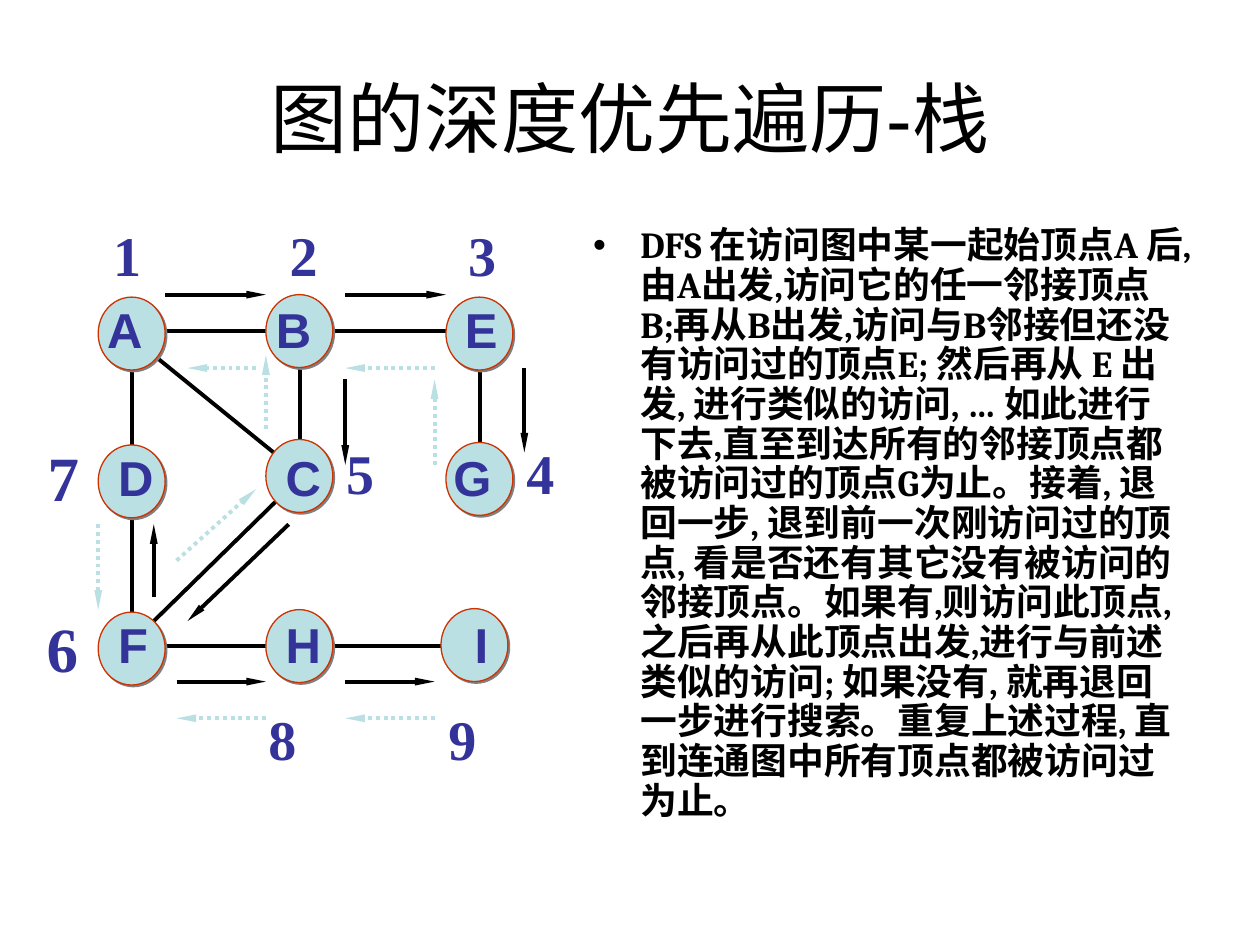
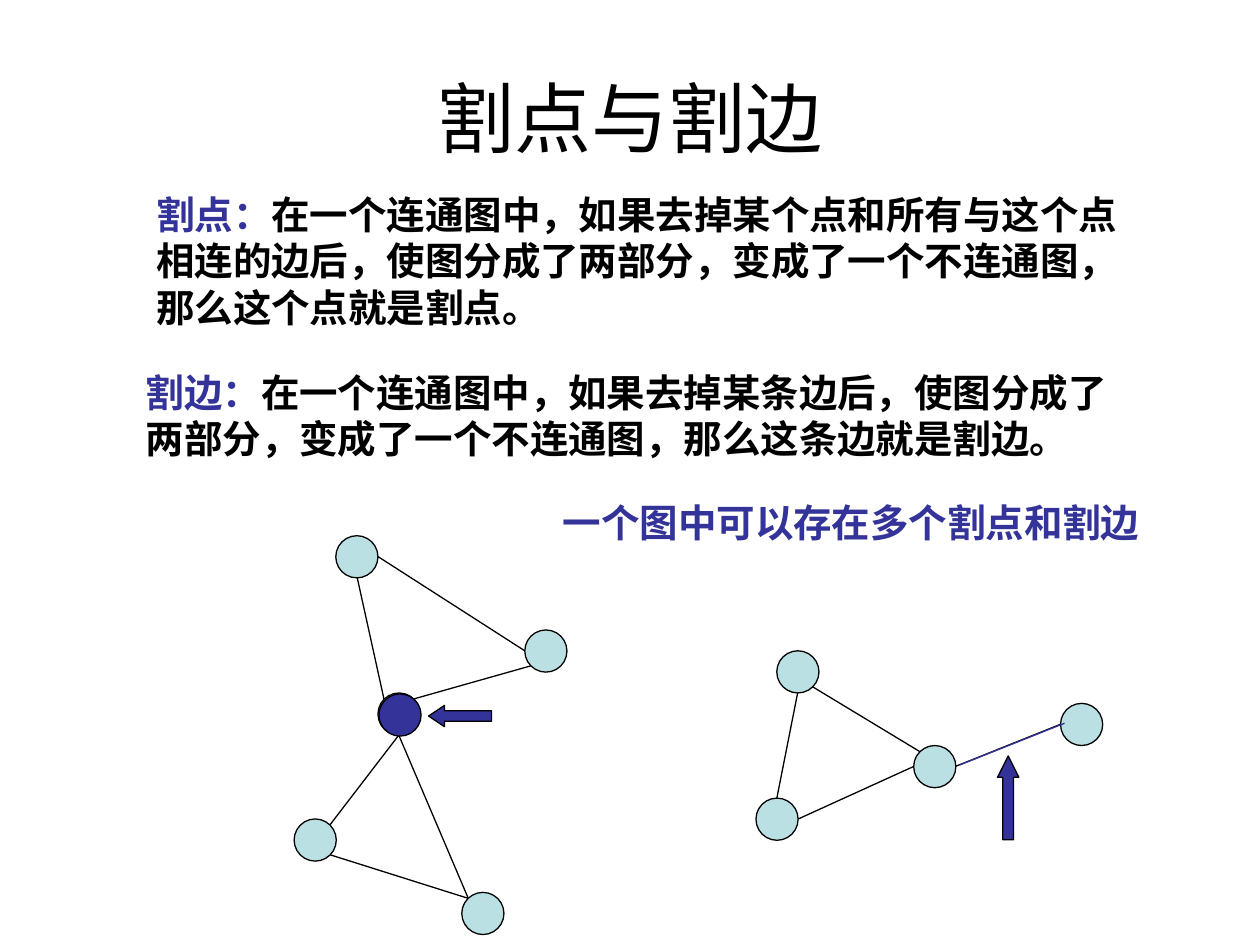
from lxml.etree import SubElement
from pptx import Presentation
from pptx.dml.color import RGBColor
from pptx.enum.dml import MSO_LINE
from pptx.enum.shapes import MSO_CONNECTOR, MSO_SHAPE
from pptx.enum.text import MSO_ANCHOR, PP_ALIGN
from pptx.oxml.ns import qn
from pptx.util import Cm, Pt

BLACK = RGBColor(0x00, 0x00, 0x00)
INDIGO = RGBColor(0x33, 0x33, 0x99)
PALE_TEAL = RGBColor(0xBB, 0xE0, 0xE3)
RUST = RGBColor(0xCC, 0x33, 0x00)

TITLE_BOX = (1.27, 0.76, 22.86, 3.18)
TITLES = ["图的深度优先遍历-栈", "割点与割边"]


def add_text(slide, box, parts, size, font="Arial", bold=True):
    text_frame = slide.shapes.add_textbox(*map(Cm, box)).text_frame
    text_frame.word_wrap = True
    paragraph = text_frame.paragraphs[0]
    for text, color in parts:
        run = paragraph.add_run()
        run.text = text
        run.font.size = Pt(size)
        run.font.name = font
        run.font.bold = bold
        run.font.color.rgb = color
    return text_frame


def add_line(slide, ends, color, width, arrow=False):
    connector = slide.shapes.add_connector(MSO_CONNECTOR.STRAIGHT, *map(Cm, ends))
    connector.line.color.rgb = color
    connector.line.width = Pt(width)
    if arrow:
        if color == PALE_TEAL:
            connector.line.dash_style = MSO_LINE.ROUND_DOT
        outline = connector.line._get_or_add_ln()
        SubElement(outline, qn("a:tailEnd"), type="triangle", w="sm", len="lg")
    SubElement(connector._element.spPr, qn("a:effectLst"))


presentation = Presentation()
presentation.slide_width = Cm(25.4)
presentation.slide_height = Cm(19.05)
slides = []
for title in TITLES:
    slide = presentation.slides.add_slide(presentation.slide_layouts[6])
    title_frame = add_text(slide, TITLE_BOX, [(title, BLACK)], 44, bold=False)
    title_frame.vertical_anchor = MSO_ANCHOR.MIDDLE
    title_frame.paragraphs[0].alignment = PP_ALIGN.CENTER
    slides.append(slide)
traversal_slide, cut_slide = slides

traversal_text = (
    "DFS 在访问图中某一起始顶点A 后,由A出发,访问它的任一邻接顶点 B;"
    "再从B出发,访问与B邻接但还没有访问过的顶点E; 然后再从 E 出发, 进行类似的访问, "
    "… 如此进行下去,直至到达所有的邻接顶点都被访问过的顶点G为止。"
    "接着, 退回一步, 退到前一次刚访问过的顶点, 看是否还有其它没有被访问的邻接顶点。"
    "如果有,则访问此顶点, 之后再从此顶点出发,进行与前述类似的访问; "
    "如果没有, 就再退回一步进行搜索。重复上述过程, 直到连通图中所有顶点都被访问过为止。"
)
body_frame = add_text(traversal_slide, (11.71, 4.45, 12.42, 12.57),
                      [(traversal_text, BLACK)], 21, "Cambria")
paragraph = body_frame.paragraphs[0]
paragraph.line_spacing = 0.9
properties = paragraph._p.get_or_add_pPr()
properties.set("marL", str(Cm(0.95)))
properties.set("indent", str(-Cm(0.95)))
SubElement(properties, qn("a:buFont"), typeface="Arial")
SubElement(properties, qn("a:buChar"), char="•")

edges = [
    (3.1, 12.52, 5.59, 10.08),
    (3.1, 7.16, 5.82, 9.37),
    (6.05, 7.16, 6.05, 8.86),
    (3.1, 13.03, 8.99, 13.03),
    (2.67, 7.44, 2.67, 12.57),
    (3.1, 6.68, 8.99, 6.68),
    (9.68, 7.42, 9.68, 9.12),
]
for ends in edges:
    add_line(traversal_slide, ends, BLACK, 2.25)

vertices = [
    ("A", 1.98, 5.99, 1.91, 5.92),
    ("B", 5.36, 5.94, 5.31, 5.92),
    ("E", 8.99, 5.99, 9.12, 5.92),
    ("D", 1.98, 8.97, 2.13, 8.89),
    ("C", 5.36, 8.86, 5.51, 8.89),
    ("G", 8.99, 8.92, 8.89, 8.89),
    ("F", 1.98, 12.34, 2.13, 12.27),
    ("H", 5.36, 12.29, 5.51, 12.27),
    ("I", 8.89, 12.27, 9.32, 12.27),
]
for letter, left, top, label_left, label_top in vertices:
    circle = traversal_slide.shapes.add_shape(
        MSO_SHAPE.OVAL, Cm(left), Cm(top), Cm(1.35), Cm(1.47))
    circle.fill.solid()
    circle.fill.fore_color.rgb = PALE_TEAL
    circle.line.color.rgb = RUST
    circle.line.width = Pt(0.75)
    circle.shadow.inherit = False
    effects = circle._element.spPr.find(qn("a:effectLst"))
    shadow = SubElement(effects, qn("a:outerShdw"), dist=str(Pt(1.4)),
                        dir="2700000", algn="ctr", rotWithShape="0")
    SubElement(shadow, qn("a:srgbClr"), val="808080")
    add_text(traversal_slide, (label_left, label_top, 1.4, 1.45), [(letter, INDIGO)], 28)

visit_numbers = [
    ("1", 2.03, 4.32, 32),
    ("2", 5.59, 4.32, 32),
    ("3", 9.19, 4.32, 32),
    ("4", 10.36, 8.71, 32),
    ("5", 6.73, 8.71, 32),
    ("6", 0.69, 12.17, 36),
    ("7", 0.71, 8.71, 36),
    ("8", 5.16, 14.07, 32),
    ("9", 8.79, 14.07, 32),
]
for number, left, top, size in visit_numbers:
    add_text(traversal_slide, (left, top, 1.3, 1.7), [(number, INDIGO)], size,
             "Times New Roman")

forward_steps = [
    (3.33, 5.94, 5.36, 5.94),
    (6.96, 5.94, 8.99, 5.94),
    (10.57, 7.42, 10.57, 9.12),
    (6.96, 7.65, 6.96, 9.37),
    (5.82, 10.57, 3.78, 12.52),
    (3.1, 12.04, 3.1, 10.57),
    (3.56, 13.74, 5.36, 13.74),
    (6.96, 13.74, 8.76, 13.74),
]
back_steps = [
    (8.76, 9.37, 8.76, 7.65),
    (8.76, 7.42, 6.96, 7.42),
    (5.36, 8.64, 5.36, 7.16),
    (5.16, 7.42, 3.78, 7.42),
    (3.56, 11.3, 5.16, 9.86),
    (1.98, 10.57, 1.98, 12.29),
    (5.36, 14.48, 3.56, 14.48),
    (8.76, 14.48, 6.96, 14.48),
]
for color, steps in [(BLACK, forward_steps), (PALE_TEAL, back_steps)]:
    for ends in steps:
        add_line(traversal_slide, ends, color, 2.25, arrow=True)

definitions = [
    ((2.9, 3.73, 19.96, 3.05), "割点：",
     "在一个连通图中，如果去掉某个点和所有与这个点相连的边后，使图分成了两部分，"
     "变成了一个不连通图，那么这个点就是割点。"),
    ((2.69, 7.32, 20.04, 2.13), "割边：",
     "在一个连通图中，如果去掉某条边后，使图分成了两部分，变成了一个不连通图，"
     "那么这条边就是割边。"),
]
for box, term, meaning in definitions:
    add_text(cut_slide, box, [(term, INDIGO), (meaning, BLACK)], 22)
add_text(cut_slide, (11.1, 9.93, 12.5, 1.19),
         [("一个图中可以存在多个割点和割边", INDIGO)], 22)

cut_edges = [
    (7.2, 11.64, 7.74, 14.09),
    (8.34, 14.09, 10.71, 13.42),
    (8.04, 14.82, 6.65, 16.63),
    (8.04, 14.82, 9.44, 18.11),
    (7.62, 11.22, 10.58, 13.12),
    (6.65, 17.23, 9.44, 18.11),
    (16.09, 16.51, 18.42, 15.45),
    (16.39, 13.85, 18.54, 15.15),
    (16.08, 13.97, 15.66, 16.09),
    (21.38, 14.6, 19.26, 15.45),
]
for ends in cut_edges:
    add_line(cut_slide, ends, BLACK, 0.75)

plain_vertices = [
    (6.77, 10.8), (7.62, 13.97), (9.31, 17.99), (10.58, 12.7), (5.93, 16.51),
    (15.66, 13.12), (18.42, 15.03), (21.38, 14.18), (15.24, 16.09),
]
figures = [(MSO_SHAPE.OVAL, (left, top, 0.85, 0.85), PALE_TEAL) for left, top in plain_vertices]
figures += [
    (MSO_SHAPE.OVAL, (7.64, 13.99, 0.85, 0.85), INDIGO),
    (MSO_SHAPE.LEFT_ARROW, (8.64, 14.22, 1.27, 0.43), INDIGO),
    (MSO_SHAPE.UP_ARROW, (20.11, 15.24, 0.43, 1.69), INDIGO),
]
for kind, box, color in figures:
    shape = cut_slide.shapes.add_shape(kind, *map(Cm, box))
    shape.fill.solid()
    shape.fill.fore_color.rgb = color
    shape.line.color.rgb = BLACK
    shape.line.width = Pt(0.75)
    shape.shadow.inherit = False
    if kind == MSO_SHAPE.LEFT_ARROW:
        shape.adjustments[1] = 0.75
    elif kind == MSO_SHAPE.UP_ARROW:
        shape.adjustments[1] = 1.0
add_line(cut_slide, (19.35, 15.42, 21.46, 14.58), INDIGO, 0.75)

presentation.save("out.pptx")
